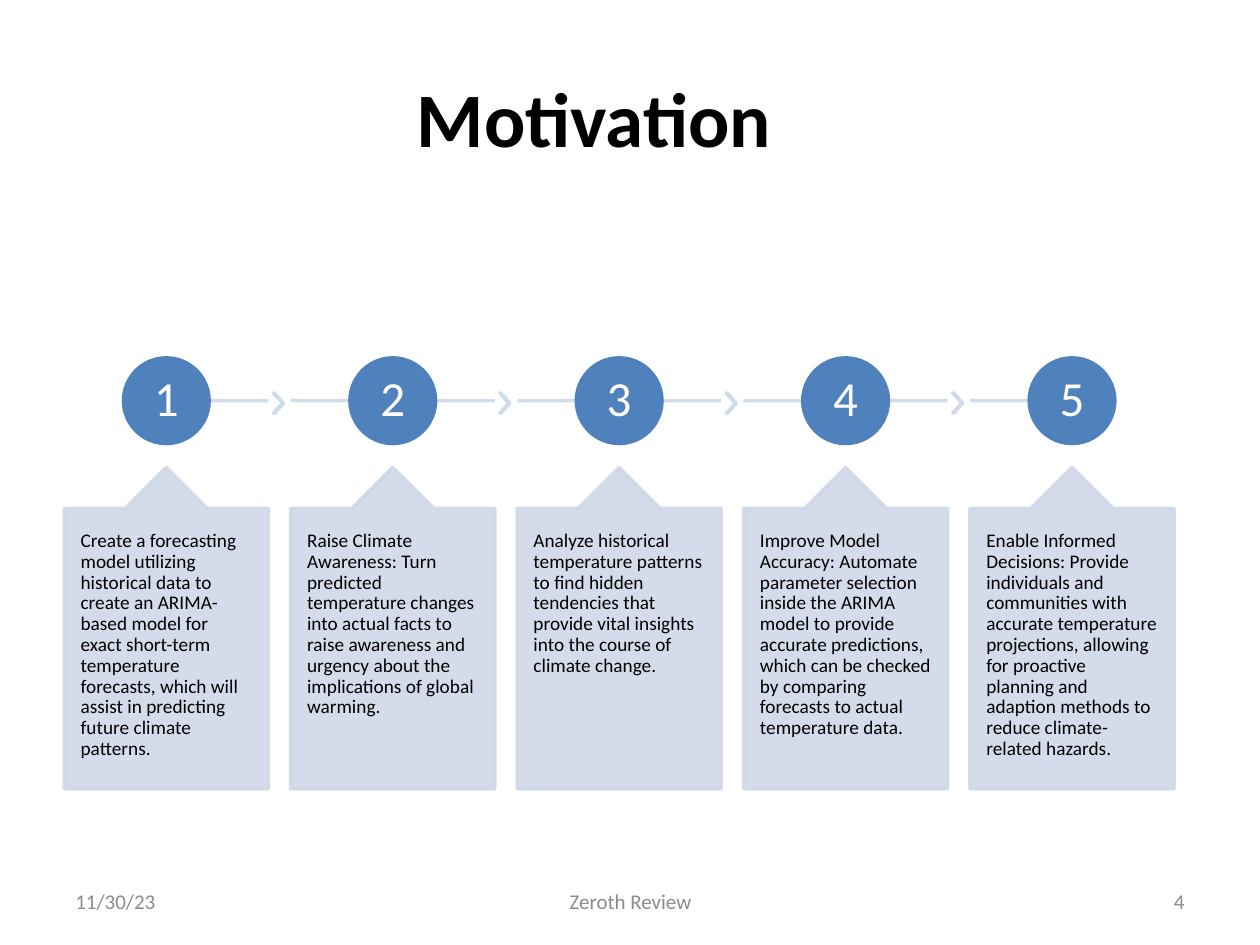
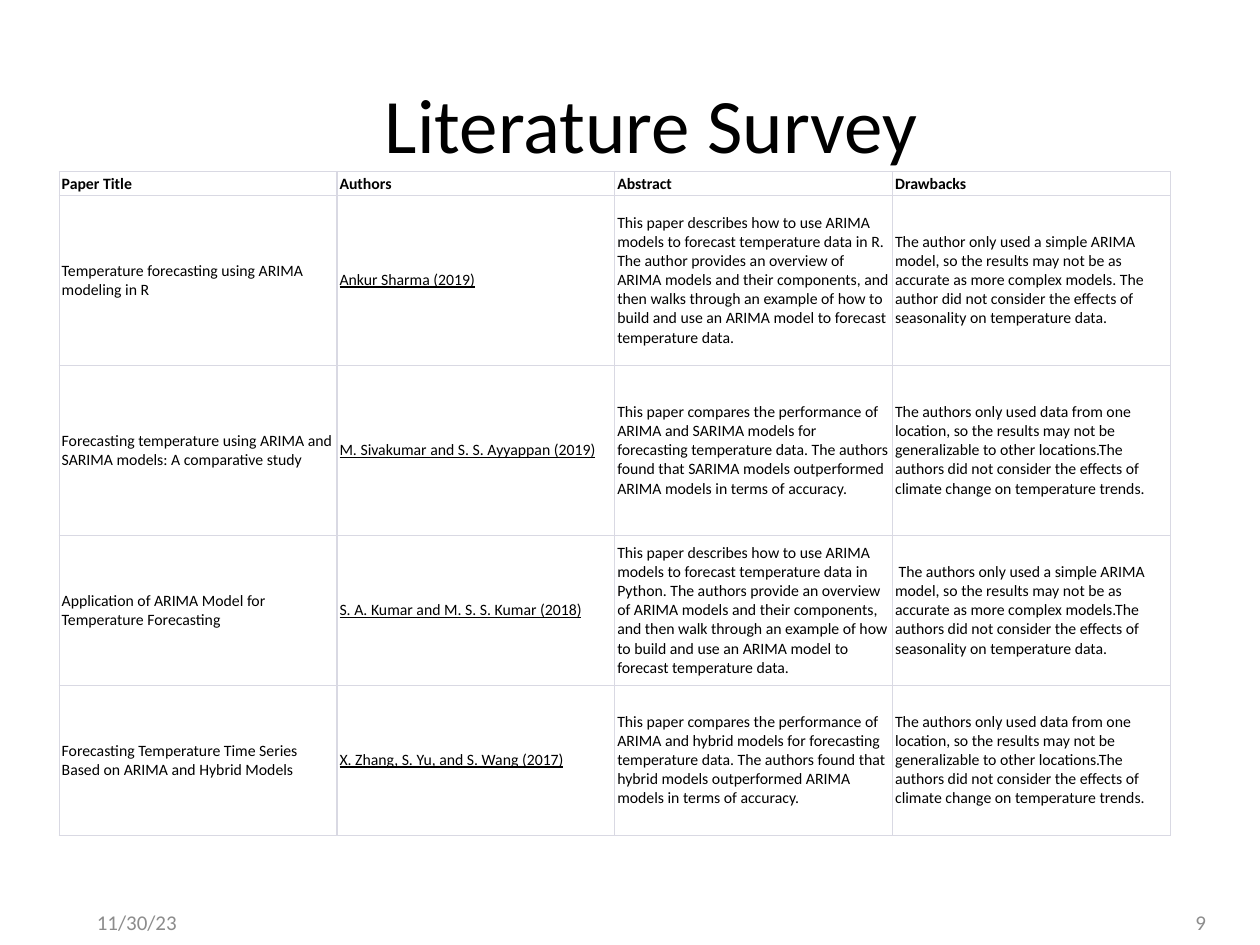
from lxml.etree import SubElement
from pptx import Presentation
from pptx.dml.color import RGBColor
from pptx.enum.shapes import MSO_CONNECTOR, MSO_SHAPE as Shape
from pptx.enum.text import MSO_ANCHOR as Anchor, PP_ALIGN as Align
from pptx.oxml.ns import qn
from pptx.util import Inches, Pt

# Style: lengths are counted on a grid of 100 columns by 75 rows
COLUMNS = 100
FONT = "Calibri"
BLACK = RGBColor(0x00, 0x00, 0x00)
WHITE = RGBColor(0xFF, 0xFF, 0xFF)
GREY = RGBColor(0x8C, 0x8C, 0x8C)
BLUE = RGBColor(0x4F, 0x81, 0xBD)
PALE_BLUE = RGBColor(0xD0, 0xD8, 0xE8)
BORDER = RGBColor(0xD9, 0xD9, 0xE3)
DATE = "11/30/23"

MOTIVATIONS = [
    "Create a forecasting model utilizing historical data to create an ARIMA-based model for exact "
    "short-term temperature forecasts, which will assist in predicting future climate patterns.",
    "Raise Climate Awareness: Turn predicted temperature changes into actual facts to raise awareness "
    "and urgency about the implications of global warming.",
    "Analyze historical temperature patterns to find hidden tendencies that provide vital insights "
    "into the course of climate change.",
    "Improve Model Accuracy: Automate parameter selection inside the ARIMA model to provide accurate "
    "predictions, which can be checked by comparing forecasts to actual temperature data.",
    "Enable Informed Decisions: Provide individuals and communities with accurate temperature "
    "projections, allowing for proactive planning and adaption methods to reduce climate-related hazards.",
]

ONE_LOCATION = (
    "The authors only used data from one location, so the results may not be generalizable to other "
    "locations.The authors did not consider the effects of climate change on temperature trends."
)
PAPERS = [
    ("Paper Title", "Authors", "Abstract", "Drawbacks"),
    (
        "Temperature forecasting using ARIMA modeling in R",
        "Ankur Sharma (2019)",
        "This paper describes how to use ARIMA models to forecast temperature data in R. The author "
        "provides an overview of ARIMA models and their components, and then walks through an example "
        "of how to build and use an ARIMA model to forecast temperature data.",
        "The author only used a simple ARIMA model, so the results may not be as accurate as more "
        "complex models. The author did not consider the effects of seasonality on temperature data.",
    ),
    (
        "Forecasting temperature using ARIMA and SARIMA models: A comparative study",
        "M. Sivakumar and S. S. Ayyappan (2019)",
        "This paper compares the performance of ARIMA and SARIMA models for forecasting temperature "
        "data. The authors found that SARIMA models outperformed ARIMA models in terms of accuracy.",
        ONE_LOCATION,
    ),
    (
        "Application of ARIMA Model for Temperature Forecasting",
        "S. A. Kumar and M. S. S. Kumar (2018)",
        "This paper describes how to use ARIMA models to forecast temperature data in Python. The "
        "authors provide an overview of ARIMA models and their components, and then walk through an "
        "example of how to build and use an ARIMA model to forecast temperature data.",
        " The authors only used a simple ARIMA model, so the results may not be as accurate as more "
        "complex models.The authors did not consider the effects of seasonality on temperature data.",
    ),
    (
        "Forecasting Temperature Time Series Based on ARIMA and Hybrid Models",
        "X. Zhang, S. Yu, and S. Wang (2017)",
        "This paper compares the performance of ARIMA and hybrid models for forecasting temperature "
        "data. The authors found that hybrid models outperformed ARIMA models in terms of accuracy.",
        ONE_LOCATION,
    ),
]


def write(holder, text, size=12, color=BLACK, bold=False, underline=False, align=Align.LEFT,
          anchor=Anchor.MIDDLE, insets=None, spacing=None):
    """Fill a text frame or a table cell with one formatted paragraph."""
    frame = getattr(holder, "text_frame", holder)
    frame.word_wrap = True
    holder.vertical_anchor = anchor
    if insets:
        holder.margin_left, holder.margin_top, holder.margin_right, holder.margin_bottom = insets
    paragraph = frame.paragraphs[0]
    paragraph.alignment = align
    if spacing:
        paragraph.line_spacing = spacing
    run = paragraph.add_run()
    run.text = text
    font = run.font
    font.name, font.size, font.bold, font.underline = FONT, Pt(size), bold, underline
    font.color.rgb = color


class Deck:
    def __init__(self):
        self.presentation = Presentation()
        self.presentation.slide_width = Inches(10)
        self.presentation.slide_height = Inches(7.5)
        self.unit = self.presentation.slide_width / COLUMNS
        self.slide = None

    def grid(self, *counts):
        return [round(count * self.unit) for count in counts]

    def new_slide(self, title, left, top, height, bold=False, right_inset=1):
        self.slide = self.presentation.slides.add_slide(self.presentation.slide_layouts[5])
        holder = self.slide.shapes.title
        holder.left, holder.top, holder.width, holder.height = self.grid(left, top, 90, height)
        write(holder.text_frame, title, size=44, bold=bold, align=Align.CENTER,
              insets=self.grid(1, 0.5, right_inset, 0.5))

    def text(self, text, left, top, width, height, **style):
        box = self.slide.shapes.add_textbox(*self.grid(left, top, width, height))
        write(box.text_frame, text, **style)

    def footer(self, left, top, number, label=None):
        self.text(DATE, left, top, 23.3, 4, color=GREY)
        if label:
            self.text(label, left + 29.2, top, 31.7, 4, color=GREY, align=Align.CENTER)
        self.text(number, left + 66.7, top, 23.3, 4, color=GREY, align=Align.RIGHT)

    def fade(self, shape):
        for color in shape.element.spPr.iter(qn("a:srgbClr")):
            SubElement(color, qn("a:alpha"), val="90000")

    def shape(self, kind, left, top, width, height, color, adjustments=(), faded=False):
        shape = self.slide.shapes.add_shape(kind, *self.grid(left, top, width, height))
        shape.shadow.inherit = False
        shape.fill.solid()
        shape.fill.fore_color.rgb = color
        shape.line.color.rgb = color
        shape.line.width = Pt(2)
        for index, value in enumerate(adjustments):
            shape.adjustments[index] = value
        if faded:
            self.fade(shape)
        return shape

    def line(self, left, right, row):
        connector = self.slide.shapes.add_connector(
            MSO_CONNECTOR.STRAIGHT, *self.grid(left, row, right, row))
        connector.line.color.rgb = PALE_BLUE
        connector.line.width = Pt(2)
        self.fade(connector)
        SubElement(connector.element.spPr, qn("a:effectLst"))

    def border(self, cell, widths):
        properties = cell._tc.get_or_add_tcPr()
        for side, width in widths.items():
            edge = SubElement(properties, qn(f"a:ln{side}"), w=str(Pt(width)))
            fill = SubElement(edge, qn("a:solidFill"))
            SubElement(fill, qn("a:srgbClr"), val=str(BORDER))

    def table(self, rows, left, top, width, heights):
        table = self.slide.shapes.add_table(
            len(rows), len(rows[0]), *self.grid(left, top, width, sum(heights))).table
        table.first_row = table.horz_banding = False
        for column in table.columns:
            column.width = self.grid(width / len(rows[0]))[0]
        for row, height in zip(table.rows, self.grid(*heights)):
            row.height = height
        last = len(rows) - 1
        for row_index, row in enumerate(rows):
            header = row_index == 0
            for column_index, text in enumerate(row):
                cell = table.cell(row_index, column_index)
                write(cell, text, size=9, bold=header, underline=column_index == 1 and not header,
                      anchor=Anchor.BOTTOM if header else Anchor.MIDDLE,
                      insets=self.grid(0.2, 0.1, 0.2, 0.1))
                self.border(cell, {"L": 0.75, "R": 0.75, "T": 0.75 if header else 1,
                                   "B": 0.75 if row_index == last else 1})
                cell.fill.background()


def build_motivation(deck):
    deck.new_slide("Motivation", 5, 3, 12.5, bold=True, right_inset=6.7)
    first, pitch, width, circle = 5.1, 17.97, 16.2, 6.8
    last = len(MOTIVATIONS) - 1
    for index, text in enumerate(MOTIVATIONS):
        left = first + index * pitch
        middle = left + width / 2
        # Line through the step, open at both ends of the row
        deck.line(left if index else middle + 0.8, middle if index == last else left + width, 31.8)
        if index < last:
            deck.shape(Shape.CHEVRON, left + 16.6, 31.2, 0.8, 1.6, PALE_BLUE, [0.9], faded=True)
        # Numbered circle
        number = deck.shape(Shape.OVAL, middle - circle / 2, 28.4, circle, circle, BLUE)
        write(number.text_frame, str(index + 1), size=28, color=WHITE, align=Align.CENTER,
              insets=deck.grid(0.3, 0.3, 0.3, 0.3), spacing=0.9)
        # Callout with the reason
        callout = deck.shape(Shape.UP_ARROW_CALLOUT, left, 37.1, width, 25.5, PALE_BLUE,
                             [0.5, 0.2, 0.2, 1], faded=True)
        write(callout.text_frame, text, size=11, anchor=Anchor.TOP,
              insets=deck.grid(1.3, 1.8, 1.3, 1.8), spacing=0.9)
    deck.footer(5, 69.5, "4", label="Zeroth Review")


def build_survey(deck):
    deck.new_slide("Literature Survey", 6.7, 4.7, 10)
    deck.table(PAPERS, 4.7, 13.6, 88.2, [1.9, 13.5, 13.5, 11.9, 11.9])
    deck.footer(6.7, 71.2, "9")


def main():
    deck = Deck()
    build_motivation(deck)
    build_survey(deck)
    deck.presentation.save("out.pptx")


if __name__ == "__main__":
    main()
